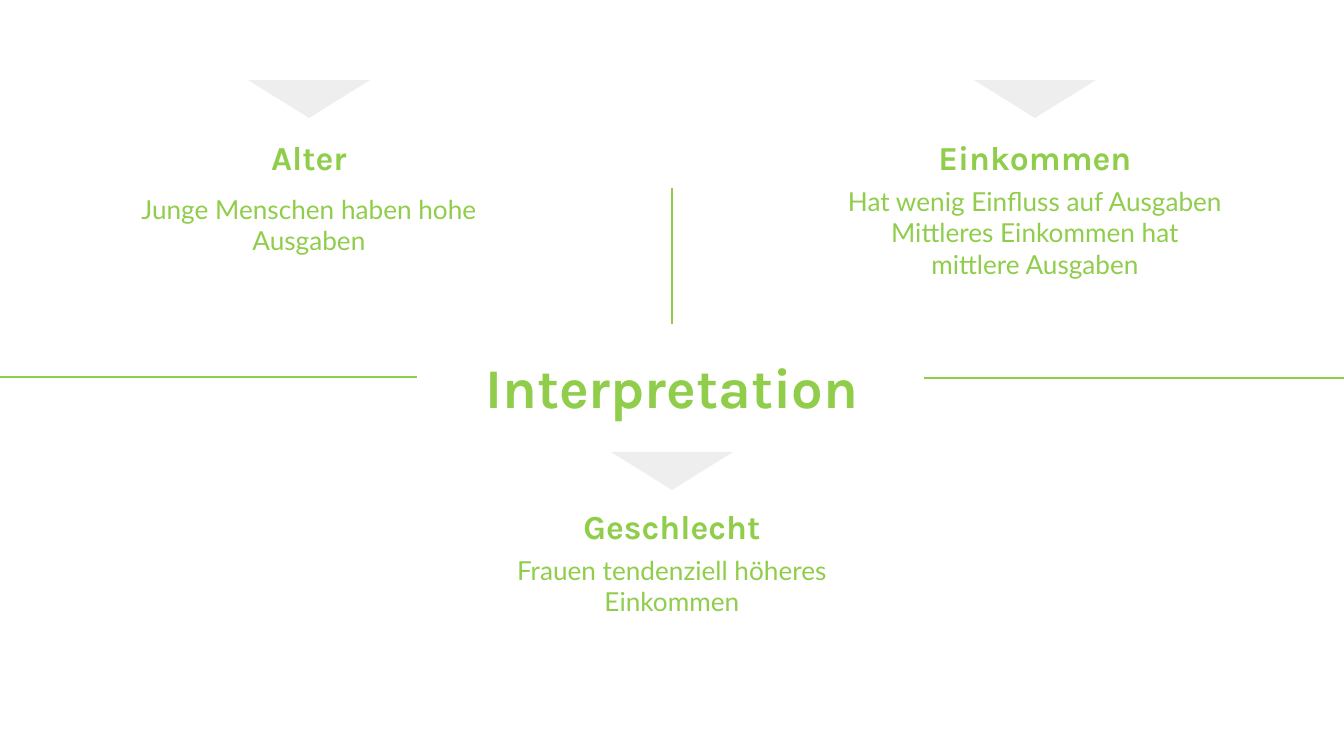
import pptx
import pptx.dml.color
import pptx.enum.shapes
import pptx.enum.text
import pptx.oxml
import pptx.util
from dataclasses import dataclass

EMU_PER_PX = 914400 / 134.4
WIDTH, HEIGHT = 1344, 756
MIDDLE = WIDTH // 2


def px(length):
    return pptx.util.Emu(round(length * EMU_PER_PX))


@dataclass(frozen=True)
class Theme:
    green: str = "8FCD4B"
    pale: str = "EEEEEE"
    background: str = "FFFFFF"
    heading_font: str = "Karla"
    body_font: str = "Lato"
    title_size: int = 30
    heading_size: int = 18
    body_size: int = 14
    line_width: float = 1.5


def rgb(value):
    return pptx.dml.color.RGBColor.from_string(value)


def write(frame, text, *, font, size, color, bold=False, middle=False):
    """Fill a text frame with centred text, one paragraph per line."""
    anchors = pptx.enum.text.MSO_ANCHOR
    frame.word_wrap = True
    frame.vertical_anchor = anchors.MIDDLE if middle else anchors.TOP
    frame.margin_left = frame.margin_right = pptx.util.Inches(0.1)
    frame.margin_top = frame.margin_bottom = pptx.util.Inches(0.1)
    frame.text = text
    for paragraph in frame.paragraphs:
        paragraph.alignment = pptx.enum.text.PP_ALIGN.CENTER
        paragraph.font.name = font
        paragraph.font.size = pptx.util.Pt(size)
        paragraph.font.bold = bold
        paragraph.font.color.rgb = rgb(color)


class Board:
    def __init__(self, slide, theme):
        self.slide = slide
        self.theme = theme
        slide.background.fill.solid()
        slide.background.fill.fore_color.rgb = rgb(theme.background)

    def text(self, center, top, width, height, text, **style):
        box = self.slide.shapes.add_textbox(
            px(center - width / 2), px(top), px(width), px(height))
        write(box.text_frame, text, color=self.theme.green, **style)

    def title(self, top, text):
        self.text(MIDDLE, top, 937, 78, text, font=self.theme.heading_font,
                  size=self.theme.title_size, bold=True)

    def pointer(self, center, top, width=122, height=38):
        """Pale triangle that points down."""
        triangle = self.slide.shapes.add_shape(
            pptx.enum.shapes.MSO_SHAPE.ISOSCELES_TRIANGLE,
            px(center - width / 2), px(top), px(width), px(height))
        triangle.rotation = 180
        triangle.shadow.inherit = False
        triangle.fill.solid()
        triangle.fill.fore_color.rgb = rgb(self.theme.pale)
        triangle.line.fill.background()

    def line(self, x1, y1, x2, y2):
        rule = self.slide.shapes.add_connector(
            pptx.enum.shapes.MSO_CONNECTOR.STRAIGHT, px(x1), px(y1), px(x2), px(y2))
        rule.line.color.rgb = rgb(self.theme.green)
        rule.line.width = pptx.util.Pt(self.theme.line_width)
        rule._element.spPr.append(pptx.oxml.parse_xml(
            '<a:effectLst xmlns:a="http://schemas.openxmlformats.org/drawingml/2006/main"/>'))

    def finding(self, center, top, heading, body, heading_top, body_top):
        """Pointer with a heading and its explanation below."""
        self.pointer(center, top)
        self.text(center, heading_top, 360, 50, heading, middle=True, bold=True,
                  font=self.theme.heading_font, size=self.theme.heading_size)
        self.text(center, body_top, 402, 118, body,
                  font=self.theme.body_font, size=self.theme.body_size)


def main():
    deck = pptx.Presentation()
    deck.slide_width, deck.slide_height = px(WIDTH), px(HEIGHT)
    board = Board(deck.slides.add_slide(deck.slide_layouts[6]), Theme())

    board.title(339, "Interpretation")
    side = 363
    findings = [
        (MIDDLE - side, 80, "Alter", "Junge Menschen haben hohe Ausgaben", 132, 180),
        (MIDDLE, 452, "Geschlecht", "Frauen tendenziell höheres Einkommen", 501, 541),
        (MIDDLE + side, 80, "Einkommen",
         "Hat wenig Einfluss auf Ausgaben\nMittleres Einkommen hat mittlere Ausgaben",
         132, 172),
    ]
    for finding in findings:
        board.finding(*finding)

    board.line(0, 377, 417, 377)
    board.line(924, 378, WIDTH, 378)
    board.line(MIDDLE, 188, MIDDLE, 324)
    deck.save("out.pptx")


if __name__ == "__main__":
    main()
